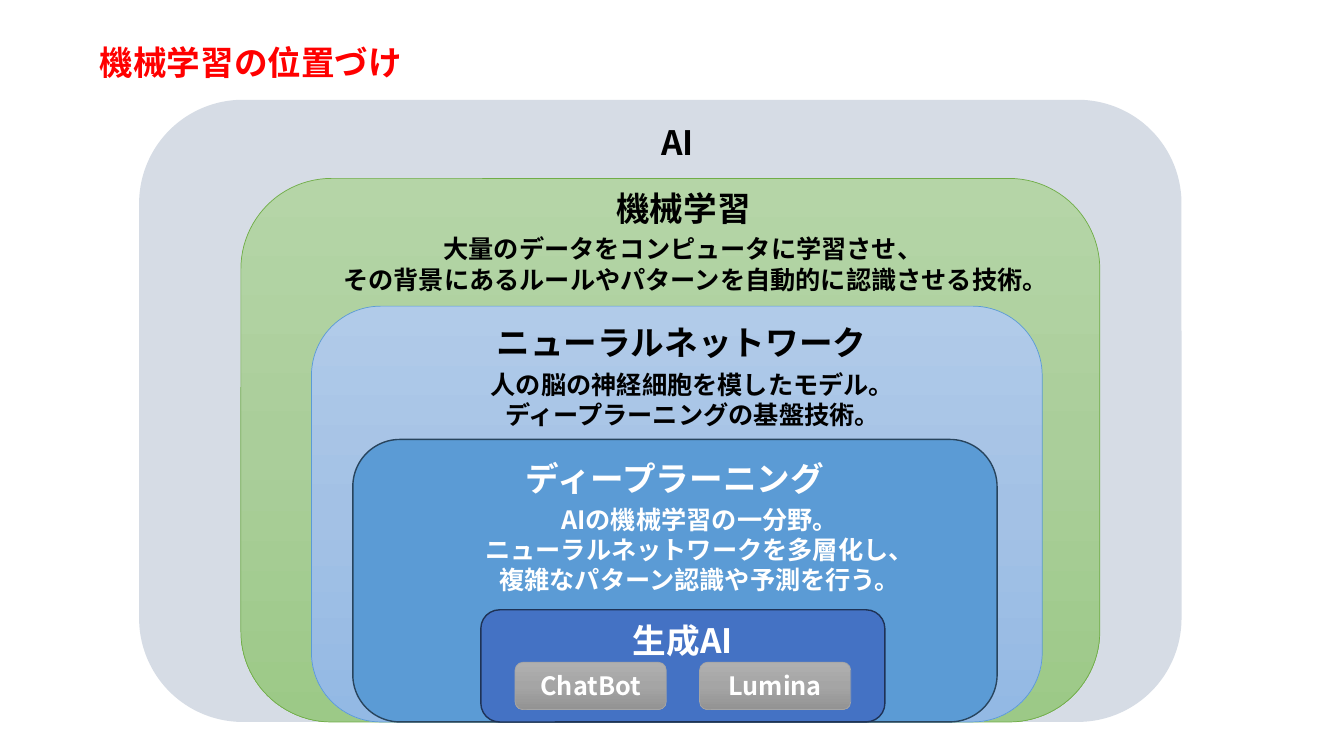
from copy import deepcopy
from dataclasses import dataclass
from lxml.etree import SubElement as Sub
from pptx import Presentation
from pptx.dml.color import RGBColor as Rgb
from pptx.enum.shapes import MSO_SHAPE as Form
from pptx.enum.text import MSO_ANCHOR as Anchor, MSO_AUTO_SIZE as Fit, PP_ALIGN as Align
from pptx.oxml.ns import qn
from pptx.util import Inches, Pt

COLS, ROWS = 160, 90
BASE = 85.95


@dataclass(frozen=True)
class Theme:
    font: str = "Noto Sans CJK JP"
    head: int = 24
    body: int = 18
    red: str = "FF0000"
    black: str = "000000"
    white: str = "FFFFFF"
    mist: tuple = ("D6DCE5",)
    green: tuple = ("B5D5A7", "AACE9A", "9CC987")
    sky: tuple = ("B1CBE9", "A3C1E5", "93B9E4")
    blue: tuple = ("5B9BD5",)
    deep: tuple = ("4472C4",)
    gray: tuple = ("AFAFAF", "A5A5A5", "939393")
    leaf: tuple = ("70AD47", 0.5)
    rim: tuple = ("5B9BD5", 0.5)
    navy: tuple = ("28445D", 1)
    ink: tuple = ("1E3256", 1)
    ash: tuple = ("A5A5A5", 0.5)


def apply(item, form):
    for key, value in form.items():
        setattr(item, key, value)


class Board:
    def __init__(self, deck, theme):
        self.deck, self.theme = deck, theme
        self.slide = deck.slides.add_slide(deck.slide_layouts[6])

    def place(self, x, y, w, h):
        across, down = self.deck.slide_width / COLS, self.deck.slide_height / ROWS
        return [round(n) for n in (x * across, y * down, w * across, h * down)]

    def paint(self, shape, tones):
        fill = shape.fill
        if len(tones) == 1:
            fill.solid()
            fill.fore_color.rgb = Rgb.from_string(tones[0])
            return
        fill.gradient()
        fill.gradient_angle = 270
        stops = shape.element.spPr.find(".//" + qn("a:gsLst"))
        middle = deepcopy(stops[0])
        middle.set("pos", "50000")
        stops.insert(1, middle)
        for stop, tone in zip(fill.gradient_stops, tones):
            stop.color.rgb = Rgb.from_string(tone)

    def letter(self, frame, lines, size, tone, align=Align.CENTER):
        form = {"name": self.theme.font, "size": Pt(size), "bold": True}
        for i, line in enumerate(lines):
            para = frame.add_paragraph() if i else frame.paragraphs[0]
            para.alignment = align
            run = para.add_run()
            run.text = line
            apply(run.font, form)
            run.font.color.rgb = Rgb.from_string(tone)
            Sub(run.font._element, qn("a:ea")).set("typeface", self.theme.font)

    def block(self, box, tones, edge=None, label=None, size=None, anchor=Anchor.TOP):
        shape = self.slide.shapes.add_shape(Form.ROUNDED_RECTANGLE, *self.place(*box))
        shape.shadow.inherit = False
        self.paint(shape, tones)
        if edge:
            shape.line.color.rgb = Rgb.from_string(edge[0])
            shape.line.width = Pt(edge[1])
        else:
            shape.line.fill.background()
        if label:
            apply(shape.text_frame, {"word_wrap": True, "vertical_anchor": anchor})
            self.letter(shape.text_frame, [label], size, self.theme.white)

    def layer(self, x, y, w, tones, edge=None, label=None):
        self.block((x, y, w, BASE - y), tones, edge, label, self.theme.head)

    def text(self, box, lines, size, tone, align=Align.CENTER):
        frame = self.slide.shapes.add_textbox(*self.place(*box)).text_frame
        apply(frame, {"word_wrap": True, "auto_size": Fit.SHAPE_TO_FIT_TEXT})
        self.letter(frame, lines, size, tone, align)

    def head(self, x, y, line):
        self.text((x, y, 51.36, 6), [line], self.theme.head, self.theme.black)

    def note(self, x, y, w, tone, *lines):
        self.text((x, y, w, 1.2 + 3.65 * len(lines)), lines, self.theme.body, tone)


def main():
    deck = Presentation()
    apply(deck, {"slide_width": Inches(13.33), "slide_height": Inches(7.5)})
    look = Theme()
    board = Board(deck, look)

    board.layer(16.56, 11.88, 124.1, look.mist)
    board.layer(28.68, 21.24, 102.25, look.green, look.leaf)
    board.layer(37.08, 36.45, 87, look.sky, look.rim)
    board.layer(42, 52.32, 76.7, look.blue, look.navy, "ディープラーニング")
    board.layer(57.24, 72.6, 48.1, look.deep, look.ink, "生成AI")
    for i, name in enumerate(("ChatBot", "Lumina")):
        board.block((61.32 + 21.96 * i, 78.84, 18, 5.64), look.gray, look.ash,
                    name, look.body, Anchor.MIDDLE)

    board.text((10.68, 4.44, 40, 6), ["機械学習の位置づけ"], look.head, look.red, Align.LEFT)
    board.head(54.96, 13.92, "AI")
    board.head(55.68, 21.84, "機械学習")
    board.head(55.44, 37.68, "ニューラルネットワーク")
    board.note(38.4, 27.24, 85.8, look.black,
               "大量のデータをコンピュータに学習させ、",
               "その背景にあるルールやパターンを自動的に認識させる技術。")
    board.note(56.76, 43.32, 51.36, look.black,
               "人の脳の神経細胞を模したモデル。", "ディープラーニングの基盤技術。")
    board.note(55.44, 59.4, 55.68, look.white, "AIの機械学習の一分野。",
               "ニューラルネットワークを多層化し、", "複雑なパターン認識や予測を行う。")
    deck.save("out.pptx")


if __name__ == "__main__":
    main()
